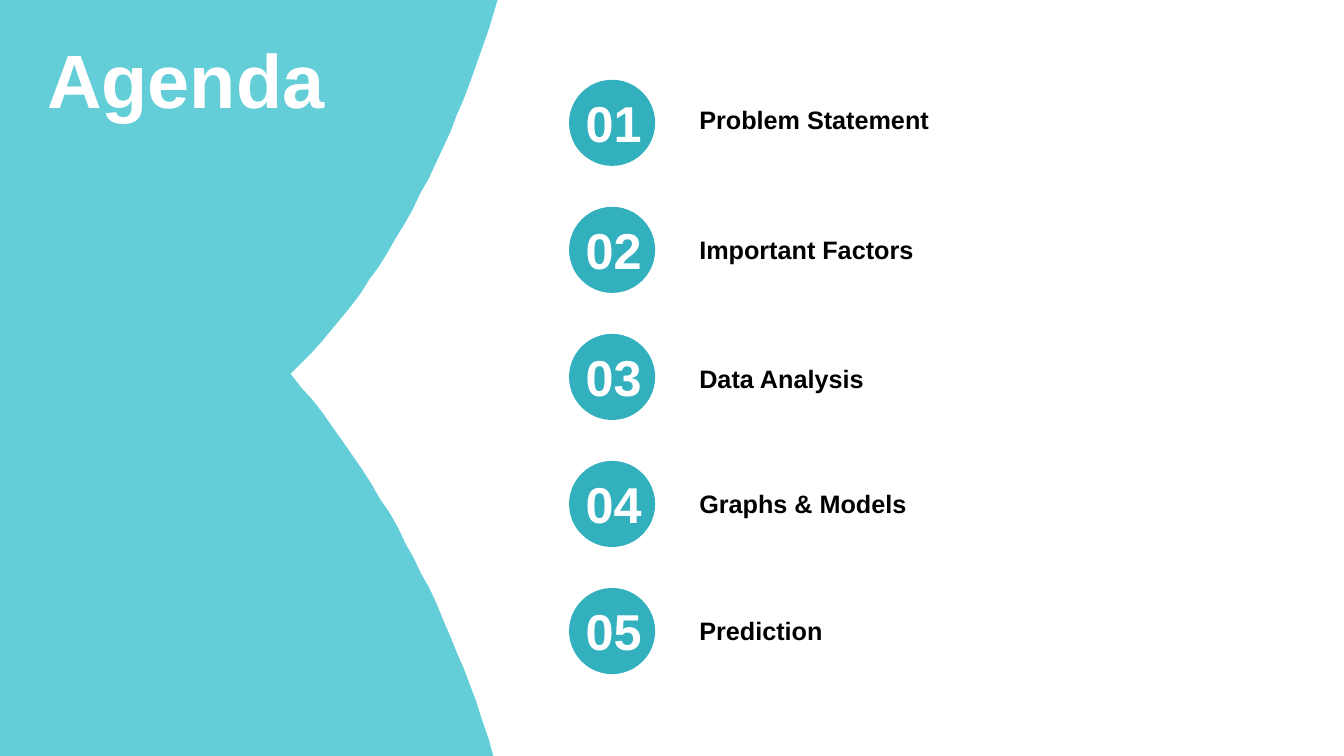
import typing
import pptx
import pptx.util
import pptx.dml.color
import pptx.enum.shapes
import pptx.enum.text
from dataclasses import dataclass

PX = 9525
FONT = "Arial"
COLORS = {"aqua": "64CED8", "teal": "32B0BE", "white": "FFFFFF", "black": "000000"}
ALIGN = pptx.enum.text.PP_ALIGN
PITCH = 121
STEPS = 24

Point = typing.Tuple[float, float]


@dataclass(frozen=True)
class Box:
    left: int
    top: int
    width: int
    height: int

    def emu(self) -> typing.List[int]:
        return [side * PX for side in (self.left, self.top, self.width, self.height)]


@dataclass(frozen=True)
class Style:
    size: int
    color: str
    align: ALIGN = ALIGN.LEFT
    side: int = 12
    head: int = 5


@dataclass(frozen=True)
class Item:
    label: str
    top: int


TITLE = Style(54, "white", side=10, head=10)
NUMBER = Style(36, "white", ALIGN.CENTER)
LABEL = Style(18, "black")

ITEMS = [
    Item("Problem Statement", 94),
    Item("Important Factors", 218),
    Item("Data Analysis", 341),
    Item("Graphs & Models", 460),
    Item("Prediction", 581),
]


def rgb(name: str) -> pptx.dml.color.RGBColor:
    return pptx.dml.color.RGBColor.from_string(COLORS[name])


def paint(shape: typing.Any, color: str) -> None:
    shape.shadow.inherit = False
    shape.fill.solid()
    shape.fill.fore_color.rgb = rgb(color)
    shape.line.fill.background()


def write(shapes: typing.Any, text: str, box: Box, style: Style) -> None:
    frame = shapes.add_textbox(*box.emu()).text_frame
    frame.word_wrap = True
    frame.margin_left = frame.margin_right = style.side * PX
    frame.margin_top = style.head * PX
    frame.margin_bottom = 5 * PX
    frame.text = text
    line = frame.paragraphs[0]
    line.alignment = style.align
    font = line.runs[0].font
    font.name = FONT
    font.size = pptx.util.Pt(style.size)
    font.bold = True
    font.color.rgb = rgb(style.color)


def curve(a: Point, b: Point, c: Point, d: Point) -> typing.List[Point]:
    points = []
    for step in range(1, STEPS + 1):
        t = step / STEPS
        u = 1 - t
        parts = (u ** 3, 3 * u * u * t, 3 * u * t * t, t ** 3)
        x, y = (sum(k * p[i] for k, p in zip(parts, (a, b, c, d))) for i in (0, 1))
        points.append((x, y))
    return points


def draw_panel(shapes: typing.Any) -> None:
    base, tip, peak = (465, 702), (277, 356), (466, 27)
    points = [(1280, 0), (1280, 720), (470, 720), base]
    points += curve(base, (421, 568), (362, 457), tip)
    points += curve(tip, (359, 277), (420, 165), peak)
    form = shapes.build_freeform(474, 0, scale=PX)
    form.add_line_segments(points, close=True)
    paint(form.convert_to_shape(), "white")


def draw_item(shapes: typing.Any, index: int, item: Item) -> None:
    group = shapes.add_group_shape().shapes
    top = 76 + index * PITCH
    write(group, item.label, Box(654, item.top, 538, 38), LABEL)
    oval = pptx.enum.shapes.MSO_SHAPE.OVAL
    paint(group.add_shape(oval, *Box(542, top, 82, 82).emu()), "teal")
    write(group, f"{index + 1:02d}", Box(534, top + 7, 101, 68), NUMBER)


def main() -> None:
    deck = pptx.Presentation()
    deck.slide_width, deck.slide_height = 1280 * PX, 720 * PX
    slide = deck.slides.add_slide(deck.slide_layouts[6])
    slide.background.fill.solid()
    slide.background.fill.fore_color.rgb = rgb("aqua")
    draw_panel(slide.shapes)
    write(slide.shapes, "Agenda", Box(35, 21, 367, 184), TITLE)
    for index, item in enumerate(ITEMS):
        draw_item(slide.shapes, index, item)
    deck.save("out.pptx")


if __name__ == "__main__":
    main()
